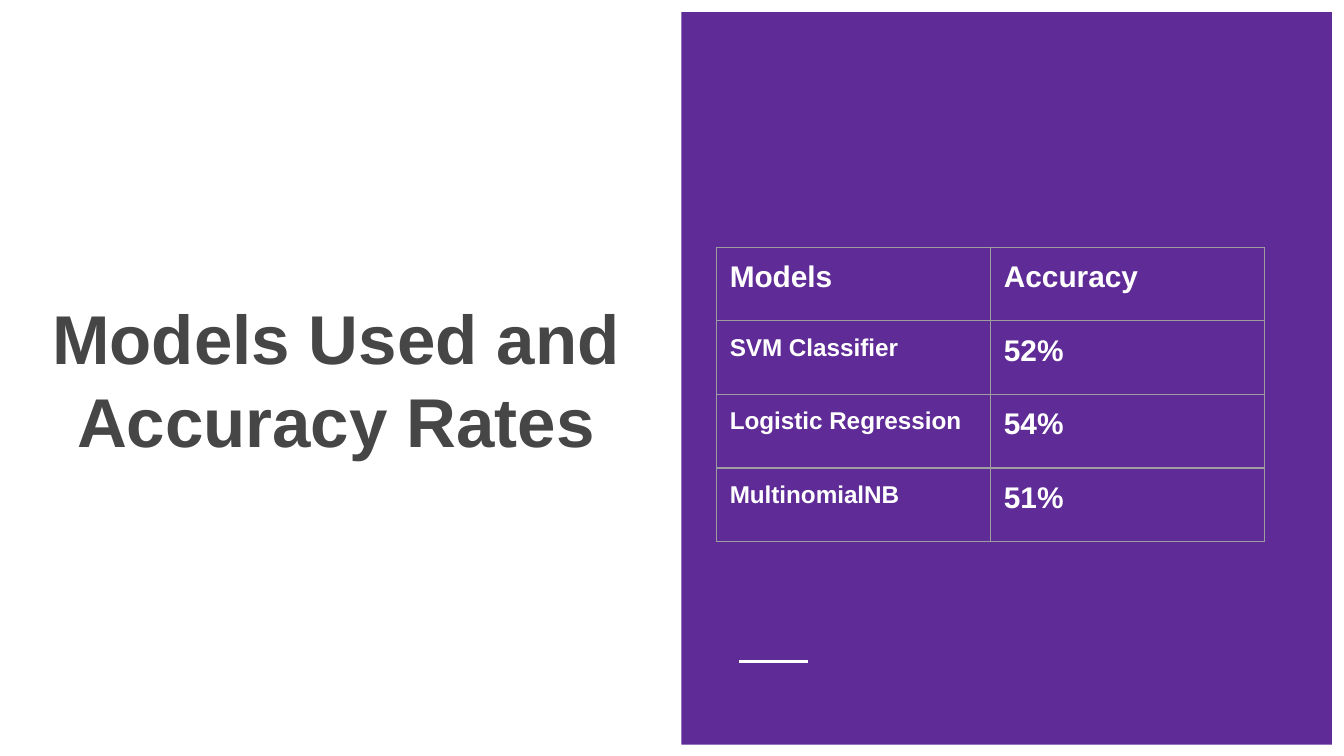
from lxml import etree
from pptx import Presentation
from pptx import util as u
from pptx.dml.color import RGBColor
from pptx.enum import shapes, text
from pptx.oxml.ns import qn

HUES = {"panel": "5E2B97", "white": "FFFFFF", "title": "464646", "grid": "9E9E9E"}
WIDE = 10
ROWS = [
    ("Models", "Accuracy"),
    ("SVM Classifier", "52%"),
    ("Logistic Regression", "54%"),
    ("MultinomialNB", "51%"),
]
SIDES = ("left", "right", "top", "bottom")


def hue(name):
    return RGBColor.from_string(HUES[name])


def put(obj, vals):
    for key, val in vals.items():
        setattr(obj, key, val)


def write(frame, words, size, color, align):
    para = frame.paragraphs[0]
    para.alignment = align
    run = para.add_run()
    run.text = words
    put(run.font, {"name": "Arial", "size": u.Pt(size), "bold": True})
    run.font.color.rgb = hue(color)


def add_panel(slide, box):
    panel = slide.shapes.add_shape(shapes.MSO_SHAPE.RECTANGLE, *map(u.Inches, box))
    panel.shadow.inherit = False
    panel.fill.solid()
    panel.fill.fore_color.rgb = hue("panel")
    panel.line.fill.background()


def add_rule(slide, ends):
    rule = slide.shapes.add_connector(shapes.MSO_CONNECTOR.STRAIGHT, *map(u.Inches, ends))
    rule.line.color.rgb = hue("white")
    rule.line.width = u.Pt(1.5)
    etree.SubElement(rule._element.spPr, qn("a:effectLst"))


def add_title(slide, box, words):
    frame = slide.shapes.add_textbox(*map(u.Inches, box)).text_frame
    put(frame, {"word_wrap": True, "vertical_anchor": text.MSO_ANCHOR.MIDDLE})
    put(frame, {f"margin_{side}": u.Inches(0.1) for side in SIDES})
    write(frame, words, 37, "title", text.PP_ALIGN.CENTER)


def edge_cell(cell):
    props = cell._tc.get_or_add_tcPr()
    for side in "LRTB":
        line = etree.SubElement(props, qn(f"a:ln{side}"), w=str(u.Pt(0.75)))
        fill = etree.SubElement(line, qn("a:solidFill"))
        etree.SubElement(fill, qn("a:srgbClr"), val=HUES["grid"])


def add_grid(slide, box):
    grid = slide.shapes.add_table(len(ROWS), len(ROWS[0]), *map(u.Inches, box)).table
    put(grid, {"first_row": False, "horz_banding": False})
    for i, row in enumerate(ROWS):
        for j, words in enumerate(row):
            cell = grid.cell(i, j)
            put(cell, {f"margin_{side}": u.Inches(0.1) for side in SIDES})
            edge_cell(cell)
            cell.fill.background()
            # Model names are smaller than headings and rates
            size = 13 if i and j == 0 else 16
            write(cell.text_frame, words, size, "white", text.PP_ALIGN.LEFT)


def main():
    # Widescreen, 16:9
    deck = Presentation()
    put(deck, {"slide_width": u.Inches(WIDE), "slide_height": u.Inches(WIDE * 9 / 16)})
    slide = deck.slides.add_slide(deck.slide_layouts[6])

    # Right panel with its short rule
    add_panel(slide, (5.07, 0.09, 4.84, 5.45))
    add_rule(slide, (5.5, 4.92, 6.01, 4.92))

    # Title on the left
    add_title(slide, (0.29, 1.84, 4.42, 1.95), "Models Used and Accuracy Rates")

    # Accuracy table
    add_grid(slide, (5.33, 1.84, 4.08, 2.19))

    deck.save("out.pptx")


if __name__ == "__main__":
    main()
